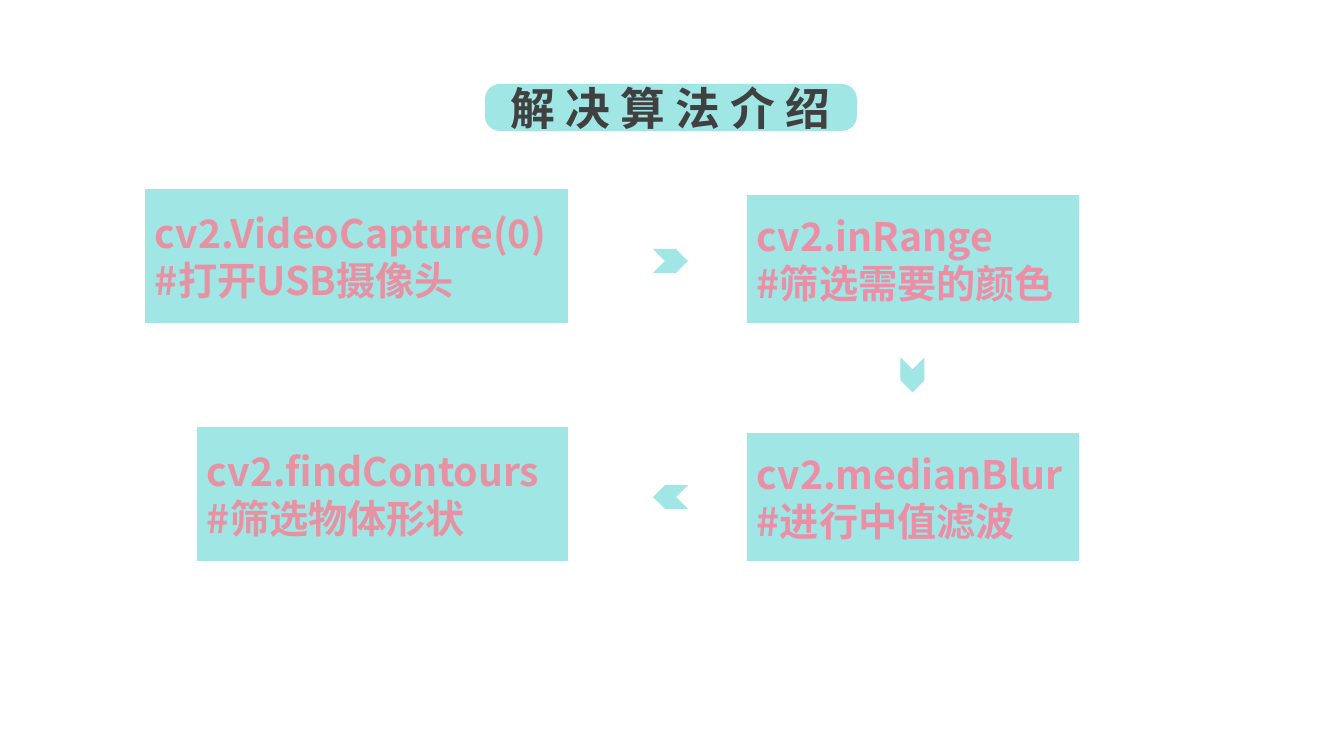
from dataclasses import dataclass

import pptx
import pptx.dml.color
import pptx.enum.shapes
import pptx.enum.text
import pptx.oxml.ns
import pptx.shapes.autoshape
import pptx.slide
import pptx.util
from lxml import etree

EMU_PER_PX = 914400 / 100.8
SHAPES = pptx.enum.shapes.MSO_SHAPE
ALIGN = pptx.enum.text.PP_ALIGN


@dataclass(frozen=True)
class Theme:
    font: str = "Noto Sans CJK SC"
    panel: str = "A0E6E4"
    heading: str = "404040"
    left_step: str = "E792A3"
    right_step: str = "EB8FA6"
    heading_pt: int = 32
    step_pt: int = 28


@dataclass(frozen=True)
class Box:
    left: int
    top: int
    width: int
    height: int


@dataclass(frozen=True)
class Step:
    box: Box
    call: str
    remark: str
    color: str


@dataclass(frozen=True)
class Chevron:
    left: int
    top: int
    rotation: int


THEME = Theme()
HEADING_BOX = Box(485, 84, 372, 47)
STEPS = (
    Step(Box(145, 189, 423, 134), "cv2.VideoCapture(0)", "#打开USB摄像头", THEME.left_step),
    Step(Box(747, 195, 332, 128), "cv2.inRange", "#筛选需要的颜色", THEME.right_step),
    Step(Box(747, 433, 332, 128), "cv2.medianBlur", "#进行中值滤波", THEME.right_step),
    Step(Box(197, 427, 371, 134), "cv2.findContours", "#筛选物体形状", THEME.left_step),
)
CHEVRONS = (Chevron(653, 249, 0), Chevron(895, 363, 90), Chevron(653, 485, 180))
CHEVRON_WIDTH, CHEVRON_HEIGHT = 35, 24


def px(length: int) -> pptx.util.Emu:
    return pptx.util.Emu(round(length * EMU_PER_PX))


def rgb(color: str) -> pptx.dml.color.RGBColor:
    return pptx.dml.color.RGBColor.from_string(color)


def add_panel(slide: pptx.slide.Slide, kind: SHAPES, box: Box) -> pptx.shapes.autoshape.Shape:
    panel = slide.shapes.add_shape(
        kind, px(box.left), px(box.top), px(box.width), px(box.height)
    )
    panel.shadow.inherit = False
    panel.fill.solid()
    panel.fill.fore_color.rgb = rgb(THEME.panel)
    panel.line.fill.background()
    return panel


def write_lines(
    panel: pptx.shapes.autoshape.Shape, lines: tuple[str, ...], size: int, color: str, align: ALIGN
) -> None:
    frame = panel.text_frame
    frame.word_wrap = True
    frame.vertical_anchor = pptx.enum.text.MSO_ANCHOR.MIDDLE
    frame.text = "\n".join(lines)
    for paragraph in frame.paragraphs:
        paragraph.alignment = align
        font = paragraph.font
        font.name = THEME.font
        font.size = pptx.util.Pt(size)
        font.bold = True
        font.color.rgb = rgb(color)
        properties = paragraph._p.pPr.find(pptx.oxml.ns.qn("a:defRPr"))
        east_asian = etree.SubElement(properties, pptx.oxml.ns.qn("a:ea"))
        east_asian.set("typeface", THEME.font)


def add_heading(slide: pptx.slide.Slide) -> None:
    heading = add_panel(slide, SHAPES.ROUNDED_RECTANGLE, HEADING_BOX)
    heading.adjustments[0] = 0.32
    write_lines(heading, ("解 决 算 法 介 绍",), THEME.heading_pt, THEME.heading, ALIGN.CENTER)


def add_step(slide: pptx.slide.Slide, step: Step) -> None:
    panel = add_panel(slide, SHAPES.RECTANGLE, step.box)
    write_lines(panel, (step.call, step.remark), THEME.step_pt, step.color, ALIGN.LEFT)


def add_chevron(slide: pptx.slide.Slide, chevron: Chevron) -> None:
    box = Box(chevron.left, chevron.top, CHEVRON_WIDTH, CHEVRON_HEIGHT)
    add_panel(slide, SHAPES.CHEVRON, box).rotation = chevron.rotation


def main() -> None:
    presentation = pptx.Presentation()
    presentation.slide_width = px(1344)
    presentation.slide_height = px(756)
    slide = presentation.slides.add_slide(presentation.slide_layouts[6])
    add_heading(slide)
    for step in STEPS:
        add_step(slide, step)
    for chevron in CHEVRONS:
        add_chevron(slide, chevron)
    presentation.save("out.pptx")


if __name__ == "__main__":
    main()
